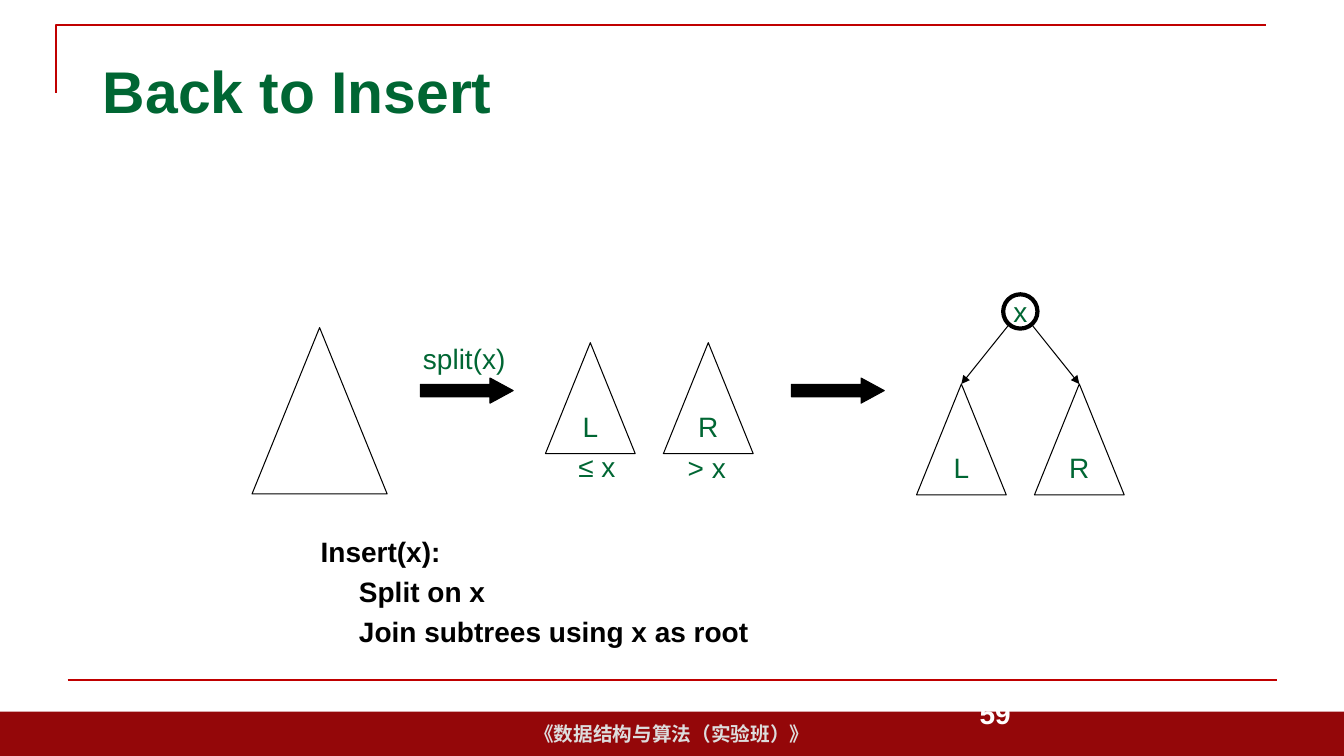
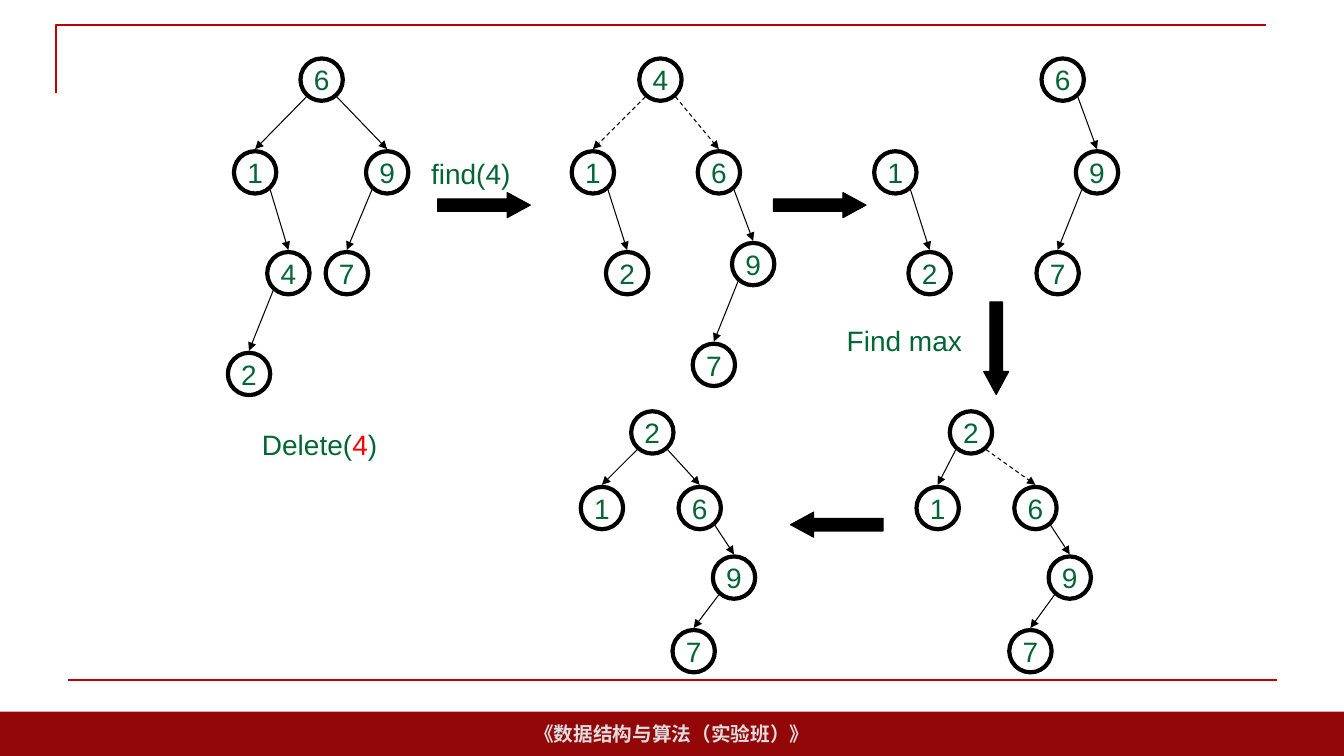
from lxml.etree import SubElement
from pptx import Presentation
from pptx.dml.color import RGBColor as RGB
from pptx.enum.dml import MSO_LINE as Dash
from pptx.enum.shapes import MSO_CONNECTOR as Link, MSO_SHAPE as Kind
from pptx.enum.text import MSO_ANCHOR as Anchor, MSO_AUTO_SIZE as Auto, PP_ALIGN as Align
from pptx.oxml.ns import qn
from pptx.util import Inches, Pt

GREEN = RGB(0x00, 0x66, 0x33)
BLACK = RGB(0x00, 0x00, 0x00)
WHITE = RGB(0xFF, 0xFF, 0xFF)
RED = RGB(0xFF, 0x00, 0x00)
RULE = RGB(0xC0, 0x00, 0x00)
BAND = RGB(0x94, 0x07, 0x09)
GREY = RGB(0xDD, 0xDD, 0xDD)

PLAIN = {"name": "Arial", "size": Pt(20), "bold": False}
BOLD = {**PLAIN, "bold": True}
TITLE = {**BOLD, "size": Pt(42)}
FOOT = {**BOLD, "size": Pt(14)}

NODE = 0.42
GAP = 0.02

# Each tree: node places, then parent-child edges, then the dashed edges.
TREES = [
    ({"6": (2.98, 0.58), "1": (2.32, 1.5), "9": (3.63, 1.5),
      "4": (2.65, 2.5), "7": (3.23, 2.5), "2": (2.26, 3.5)},
     ["61", "69", "14", "97", "42"], []),
    ({"4": (6.34, 0.58), "1": (5.67, 1.5), "6": (6.92, 1.5),
      "2": (6.01, 2.5), "9": (7.26, 2.41), "7": (6.87, 3.41)},
     ["12", "69", "97"], ["41", "46"]),
    ({"1": (8.67, 1.5), "2": (9.01, 2.5)}, ["12"], []),
    ({"6": (10.33, 0.58), "9": (10.67, 1.5), "7": (10.28, 2.5)},
     ["69", "97"], []),
    ({"2": (9.42, 4.08), "1": (9.09, 4.83), "6": (10.06, 4.83),
      "9": (10.4, 5.52), "7": (10.01, 6.25)},
     ["21", "69", "97"], ["26"]),
    ({"2": (6.26, 4.08), "1": (5.76, 4.83), "6": (6.73, 4.83),
      "9": (7.07, 5.52), "7": (6.67, 6.25)},
     ["21", "26", "69", "97"], []),
]


def inch(*nums):
    return [Inches(n) for n in nums]


class Deck:
    """Holds the style and the slide being drawn."""

    def __init__(self):
        self.prs = Presentation()
        self.prs.slide_width, self.prs.slide_height = inch(13.33, 7.5)

    def start(self, layout):
        """Open a slide and draw the band, corner and rule that all share."""
        self.slide = self.prs.slides.add_slide(self.prs.slide_layouts[layout])
        self.shapes = self.slide.shapes
        band = self.shape(Kind.RECTANGLE, (0, 7.06, 13.33, 0.44), fill=BAND)
        self.label(band, [("《数据结构与算法（实验班）》", GREY)], FOOT)
        pen = self.shapes.build_freeform(*inch(0.56, 0.92))
        pen.add_line_segments([inch(0.56, 0.25), inch(12.56, 0.25)], close=False)
        self.style(pen.convert_to_shape(), line=RULE, width=1.5)
        self.line((0.67, 6.75), (12.67, 6.75), RULE, 1.5)

    def style(self, shape, fill=None, line=None, width=0.75):
        shape.shadow.inherit = False
        if fill is None:
            shape.fill.background()
        else:
            shape.fill.solid()
            shape.fill.fore_color.rgb = fill
        if line is None:
            shape.line.fill.background()
        else:
            shape.line.color.rgb = line
            shape.line.width = Pt(width)
        return shape

    def shape(self, kind, box, **look):
        return self.style(self.shapes.add_shape(kind, *inch(*box)), **look)

    def words(self, para, runs, form):
        """Add (text, colour) runs to a paragraph."""
        for text, color in runs:
            run = para.add_run()
            run.text = text
            for key, value in form.items():
                setattr(run.font, key, value)
            run.font.color.rgb = color

    def label(self, shape, runs, form=PLAIN):
        frame = shape.text_frame
        frame.word_wrap = False
        frame.vertical_anchor = Anchor.MIDDLE
        para = frame.paragraphs[0]
        para.alignment = Align.CENTER
        self.words(para, runs, form)

    def text(self, box, runs, form=PLAIN):
        self.label(self.shapes.add_textbox(*inch(*box)), runs, form)

    def holder(self, shape, box, anchor):
        """Move a placeholder and return its text frame."""
        shape.left, shape.top, shape.width, shape.height = inch(*box)
        frame = shape.text_frame
        frame.auto_size = Auto.NONE
        frame.word_wrap = True
        frame.vertical_anchor = anchor
        return frame

    def title(self, text):
        frame = self.holder(self.shapes.title, (0.92, 0.4, 11.5, 0.99), Anchor.MIDDLE)
        para = frame.paragraphs[0]
        para.alignment = Align.LEFT
        self.words(para, [(text, GREEN)], TITLE)

    def body(self, box, lines):
        """Fill the body with (text, indent) lines that have no bullets."""
        frame = self.holder(self.slide.placeholders[1], box, Anchor.TOP)
        for num, (text, indent) in enumerate(lines):
            para = frame.add_paragraph() if num else frame.paragraphs[0]
            para.space_before = Pt(4.8)
            props = para._p.get_or_add_pPr()
            props.set("marL", str(Inches(indent)))
            props.set("indent", "0")
            SubElement(props, qn("a:buNone"))
            self.words(para, [(text, BLACK)], BOLD)

    def line(self, start, end, color=BLACK, width=0.75, dash=False, head=False):
        link = self.shapes.add_connector(Link.STRAIGHT, *inch(*start, *end))
        link.line.color.rgb = color
        link.line.width = Pt(width)
        if dash:
            link.line.dash_style = Dash.DASH
        props = link.element.spPr
        if head:
            SubElement(props.find(qn("a:ln")), qn("a:tailEnd"), type="triangle")
        SubElement(props, qn("a:effectLst"))
        return link

    def node(self, text, x, y, size=NODE):
        ring = self.shape(Kind.OVAL, (x, y, size, size), line=BLACK, width=3)
        self.label(ring, [(text, GREEN)])

    def edge(self, root, tip, size=NODE, dash=False):
        """Arrow from the lower side of the node at root to the point tip."""
        x, y = root[0] + size / 2, root[1] + size / 2
        lean = 0.355 * size
        side = lean if tip[0] > x else -lean
        return self.line((x + side, y + lean + GAP), tip, dash=dash, head=True)

    def tree(self, nodes, solid, dashed):
        for pair in solid + dashed:
            x, y = nodes[pair[1]]
            self.edge(nodes[pair[0]], (x + NODE / 2, y - GAP), dash=pair in dashed)
        for text, place in nodes.items():
            self.node(text, *place)

    def wedge(self, box, text=""):
        """Triangle that stands for a subtree."""
        shape = self.shape(Kind.ISOSCELES_TRIANGLE, box, line=BLACK)
        if text:
            self.label(shape, [(text, GREEN)])
        return shape

    def arrow(self, x, y, turn=0):
        shape = self.shape(Kind.RIGHT_ARROW, (x, y, 0.92, 0.25), fill=BLACK, line=BLACK)
        shape.adjustments[0], shape.adjustments[1] = 0.5, 0.92
        shape.rotation = turn


def insert(deck):
    deck.start(1)
    deck.title("Back to Insert")
    deck.body((3.08, 5.25, 6.5, 1.83), [
        ("Insert(x):", 0),
        ("Split on x", 0.38),
        ("Join subtrees using x as root", 0.38),
    ])
    deck.text((8.83, 6.83, 2.08, 0.5), [("59", WHITE)], BOLD)
    deck.wedge((2.5, 3.25, 1.34, 1.65))
    deck.arrow(4.17, 3.75)
    deck.arrow(7.85, 3.75)
    deck.text((4.09, 3.33, 1.03, 0.44), [("split(x)", GREEN)])
    deck.text((5.63, 4.41, 0.58, 0.44), [("≤ x", GREEN)])
    deck.text((6.72, 4.42, 0.58, 0.44), [("> x", GREEN)])

    root, size = (9.95, 2.92), 0.34
    deck.node("x", *root, size)
    for num, text in enumerate("LR"):
        step = 1.17 * num
        deck.wedge((5.41 + step, 3.4, 0.89, 1.1), text)
        x, y = 9.09 + step, 3.81
        child = deck.wedge((x, y, 0.89, 1.1), text)
        deck.edge(root, (x + 0.89 / 2, y), size).end_connect(child, 0)


def delete(deck):
    deck.start(6)
    for tree in TREES:
        deck.tree(*tree)
    for place in ((4.34, 1.91), (7.67, 1.91), (9.42, 3.33, 90), (7.84, 5.08, 180)):
        deck.arrow(*place)
    deck.text((4.17, 1.5, 1, 0.44), [("find(4)", GREEN)])
    deck.text((8.29, 3.16, 1.36, 0.44), [("Find max", GREEN)])
    deck.text((2.49, 4.19, 1.36, 0.44), [("Delete(", GREEN), ("4", RED), (")", GREEN)])


def main():
    deck = Deck()
    insert(deck)
    delete(deck)
    deck.prs.save("out.pptx")


if __name__ == "__main__":
    main()
